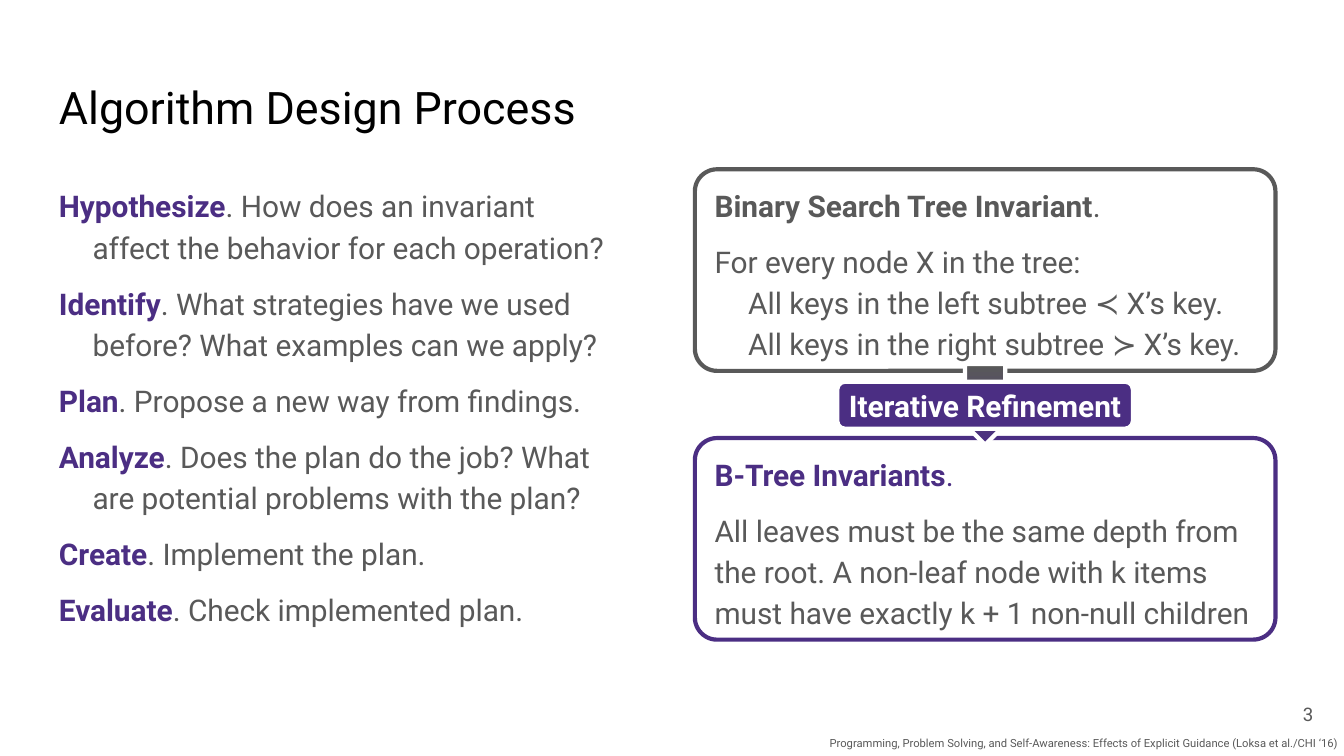
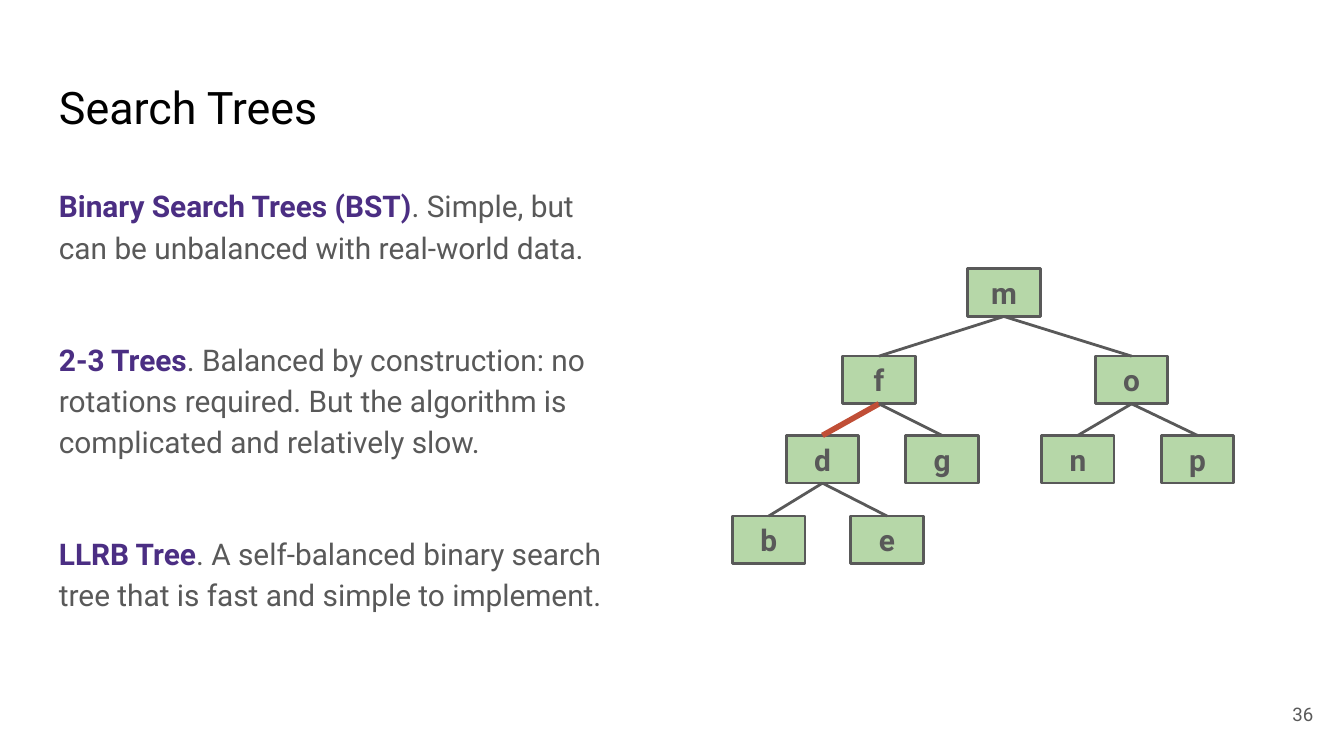
from dataclasses import dataclass

from lxml.etree import SubElement
from pptx import Presentation
from pptx.dml.color import RGBColor
from pptx.enum.shapes import MSO_CONNECTOR, MSO_SHAPE
from pptx.enum.text import MSO_ANCHOR, PP_ALIGN
from pptx.oxml.ns import qn
from pptx.util import Emu, Pt

# Shared scale, colours and type
EMU_PER_PX = 4572  # 200 px to the inch
FONT = "Roboto"
BLACK, WHITE = "000000", "FFFFFF"
GRAY, PURPLE = "595959", "4B2E83"
GREEN, RED = "B6D7A8", "C04E36"
TITLE_SIZE, BODY_SIZE, NUMBER_SIZE, SOURCE_SIZE = 24, 16, 10, 6
BODY_SPACING = 1.15
INDENT = 50
PARAGRAPH_GAP, SECTION_GAP = 8, 38
TOP, BOTTOM = 0, 2  # connection sites


@dataclass(frozen=True)
class Box:
    left: int
    top: int
    width: int
    height: int


@dataclass(frozen=True)
class TextRun:
    text: str
    color: str = GRAY
    bold: bool = False


@dataclass(frozen=True)
class Line:
    runs: tuple[TextRun, ...]
    before: int = 0
    hanging: bool = False


@dataclass(frozen=True)
class TextStyle:
    size: int = BODY_SIZE
    spacing: float = 1.0
    align: PP_ALIGN = PP_ALIGN.LEFT
    anchor: MSO_ANCHOR = MSO_ANCHOR.TOP
    inset_x: int = 20
    inset_y: int = 20


@dataclass(frozen=True)
class Node:
    label: str
    left: int
    level: int
    parent: str = ""
    edge_color: str = GRAY
    edge_width: float = 1.5


TITLE_BOX = Box(68, 98, 864, 126)
BODY_BOX = Box(68, 252, 864, 748)
NUMBER_BOX = Box(1854, 1020, 120, 86)
SOURCE_BOX = Box(0, 1086, 2000, 40)

BODY_STYLE = TextStyle(spacing=BODY_SPACING)
CARD_STYLE = TextStyle(spacing=BODY_SPACING, inset_y=10)
NUMBER_STYLE = TextStyle(NUMBER_SIZE, align=PP_ALIGN.RIGHT, anchor=MSO_ANCHOR.MIDDLE)
SOURCE_STYLE = TextStyle(SOURCE_SIZE, align=PP_ALIGN.RIGHT, inset_x=10, inset_y=10)
NODE_STYLE = TextStyle(align=PP_ALIGN.CENTER, anchor=MSO_ANCHOR.MIDDLE)
LABEL_STYLE = TextStyle(align=PP_ALIGN.CENTER, anchor=MSO_ANCHOR.MIDDLE, inset_x=0)

# Slide content
DESIGN_STEPS = (
    ("Hypothesize", ". How does an invariant affect the behavior for each operation?"),
    ("Identify", ". What strategies have we used before? What examples can we apply?"),
    ("Plan", ". Propose a new way from findings."),
    ("Analyze", ". Does the plan do the job? What are potential problems with the plan?"),
    ("Create", ". Implement the plan."),
    ("Evaluate", ". Check implemented plan."),
)
TREE_KINDS = (
    ("Binary Search Trees (BST)", ". Simple, but can be unbalanced with real-world data."),
    ("2-3 Trees", ". Balanced by construction: no rotations required. "
                  "But the algorithm is complicated and relatively slow."),
    ("LLRB Tree", ". A self-balanced binary search tree that is fast and simple to implement."),
)
BINARY_INVARIANT = (
    "For every node X in the tree:\n"
    "All keys in the left subtree ≺ X’s key.\n"
    "All keys in the right subtree ≻ X’s key."
)
B_TREE_INVARIANT = (
    "All leaves must be the same depth from the root. A non-leaf node with k items "
    "must have exactly k + 1 non-null children"
)
SOURCE = (
    "Programming, Problem Solving, and Self-Awareness: "
    "Effects of Explicit Guidance (Loksa et al./CHI ‘16)"
)

LEVEL_TOPS = (400, 530, 648, 768)
NODE_WIDTH, NODE_HEIGHT = 108, 71
NODES = (
    Node("m", 1440, 0),
    Node("f", 1254, 1, "m"),
    Node("o", 1630, 1, "m"),
    Node("d", 1170, 2, "f", RED, 3),
    Node("g", 1348, 2, "f"),
    Node("n", 1550, 2, "o"),
    Node("p", 1728, 2, "o"),
    Node("b", 1090, 3, "d"),
    Node("e", 1266, 3, "d"),
)


def px(length: int) -> Emu:
    return Emu(length * EMU_PER_PX)


def color_of(value: str) -> RGBColor:
    return RGBColor.from_string(value)


def place(box: Box) -> tuple[Emu, Emu, Emu, Emu]:
    return px(box.left), px(box.top), px(box.width), px(box.height)


# Text
def write_text(shape, lines: list[Line], style: TextStyle) -> None:
    frame = shape.text_frame
    frame.word_wrap = True
    frame.vertical_anchor = style.anchor
    frame.margin_left = frame.margin_right = px(style.inset_x)
    frame.margin_top = frame.margin_bottom = px(style.inset_y)
    for index, line in enumerate(lines):
        paragraph = frame.add_paragraph() if index else frame.paragraphs[0]
        paragraph.alignment = style.align
        paragraph.line_spacing = style.spacing
        paragraph.space_before = Pt(line.before)
        if line.hanging:
            properties = paragraph._p.get_or_add_pPr()
            properties.set("marL", str(px(INDENT)))
            properties.set("indent", str(px(-INDENT)))
        for text_run in line.runs:
            for part_index, part in enumerate(text_run.text.split("\n")):
                if part_index:
                    paragraph.add_line_break()
                run = paragraph.add_run()
                run.text = part
                run.font.name = FONT
                run.font.size = Pt(style.size)
                run.font.bold = text_run.bold
                run.font.color.rgb = color_of(text_run.color)


def add_text(slide, box: Box, lines: list[Line], style: TextStyle) -> None:
    write_text(slide.shapes.add_textbox(*place(box)), lines, style)


def plain(text: str, color: str = GRAY, bold: bool = False) -> list[Line]:
    return [Line((TextRun(text, color, bold),))]


def term_lines(terms: tuple, gap: int, hanging: bool = False) -> list[Line]:
    return [
        Line((TextRun(term, PURPLE, True), TextRun(rest)), gap if index else 0, hanging)
        for index, (term, rest) in enumerate(terms)
    ]


# Shapes
def add_panel(slide, kind: MSO_SHAPE, box: Box, line_color: str, width: float = 2.25,
              fill: str = WHITE, corner: float | None = None):
    shape = slide.shapes.add_shape(kind, *place(box))
    shape.shadow.inherit = False
    shape.fill.solid()
    shape.fill.fore_color.rgb = color_of(fill)
    shape.line.color.rgb = color_of(line_color)
    shape.line.width = Pt(width)
    if corner is not None:
        shape.adjustments[0] = corner
    return shape


def add_card(slide, top: int, color: str, heading: str, body: Line) -> None:
    card = add_panel(slide, MSO_SHAPE.ROUNDED_RECTANGLE, Box(1034, top, 864, 300),
                     color, corner=0.11)
    title = Line((TextRun(heading, color, True), TextRun(".", color)))
    write_text(card, [title, body], CARD_STYLE)


def add_edge(slide, child, parent, node: Node) -> None:
    edge = slide.shapes.add_connector(MSO_CONNECTOR.STRAIGHT, 0, 0, 0, 0)
    edge.begin_connect(child, TOP)
    edge.end_connect(parent, BOTTOM)
    edge.line.color.rgb = color_of(node.edge_color)
    edge.line.width = Pt(node.edge_width)
    SubElement(edge._element.spPr, qn("a:effectLst"))


# Slides
def add_base_slide(presentation, title: str, number: int, lines: list[Line]):
    slide = presentation.slides.add_slide(presentation.slide_layouts[6])
    slide.background.fill.solid()
    slide.background.fill.fore_color.rgb = color_of(WHITE)
    add_text(slide, TITLE_BOX, plain(title, BLACK), TextStyle(TITLE_SIZE))
    add_text(slide, BODY_BOX, lines, BODY_STYLE)
    add_text(slide, NUMBER_BOX, plain(str(number)), NUMBER_STYLE)
    return slide


def build_process_slide(presentation) -> None:
    slide = add_base_slide(presentation, "Algorithm Design Process", 3,
                           term_lines(DESIGN_STEPS, PARAGRAPH_GAP, hanging=True))
    add_card(slide, 252, GRAY, "Binary Search Tree Invariant",
             Line((TextRun(BINARY_INVARIANT),), PARAGRAPH_GAP, hanging=True))
    add_card(slide, 652, PURPLE, "B-Tree Invariants",
             Line((TextRun(B_TREE_INVARIANT),), PARAGRAPH_GAP))

    # Arrow from the first invariant to the second
    arrow = add_panel(slide, MSO_SHAPE.RIGHT_ARROW, Box(1406, 542, 120, 120), WHITE)
    arrow.rotation = 90
    arrow.fill.gradient()
    arrow.fill.gradient_angle = 0
    for stop, color, position in zip(arrow.fill.gradient_stops, (GRAY, PURPLE), (0, 1)):
        stop.color.rgb = color_of(color)
        stop.position = position

    add_text(slide, SOURCE_BOX, plain(SOURCE), SOURCE_STYLE)
    label = add_panel(slide, MSO_SHAPE.ROUNDED_RECTANGLE, Box(1246, 568, 440, 70),
                      WHITE, fill=PURPLE, corner=0.167)
    write_text(label, plain("Iterative Refinement", WHITE, True), LABEL_STYLE)


def build_trees_slide(presentation) -> None:
    slide = add_base_slide(presentation, "Search Trees", 36,
                           term_lines(TREE_KINDS, SECTION_GAP))
    # Tree nodes, then the edges between them
    shapes = {}
    for node in NODES:
        box = Box(node.left, LEVEL_TOPS[node.level], NODE_WIDTH, NODE_HEIGHT)
        shape = add_panel(slide, MSO_SHAPE.RECTANGLE, box, GRAY, 1.5, GREEN)
        write_text(shape, plain(node.label, bold=True), NODE_STYLE)
        shapes[node.label] = shape
    for node in NODES:
        if node.parent:
            add_edge(slide, shapes[node.label], shapes[node.parent], node)


def main() -> None:
    presentation = Presentation()
    presentation.slide_width = px(2000)
    presentation.slide_height = px(1125)
    build_process_slide(presentation)
    build_trees_slide(presentation)
    presentation.save("out.pptx")


if __name__ == "__main__":
    main()
